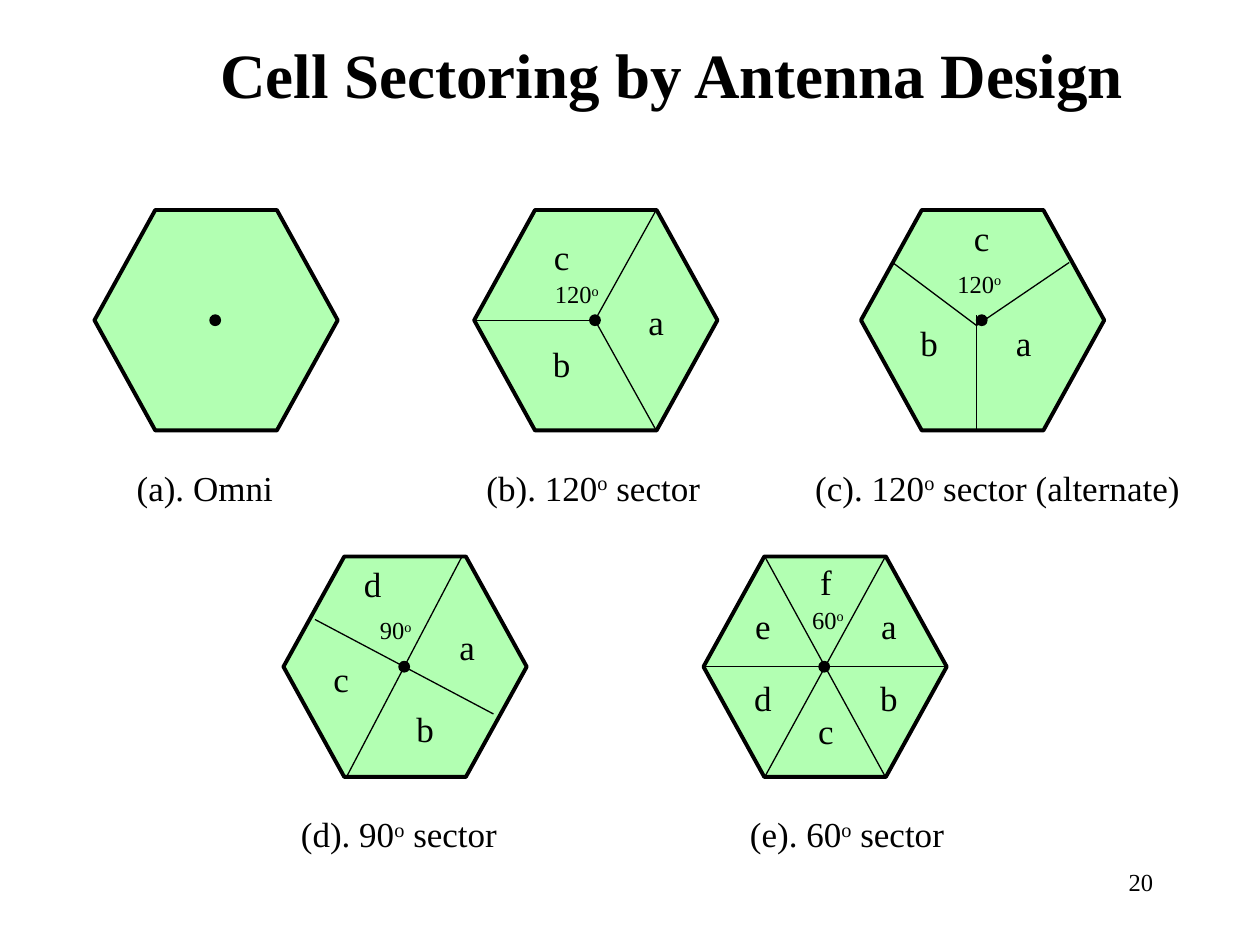
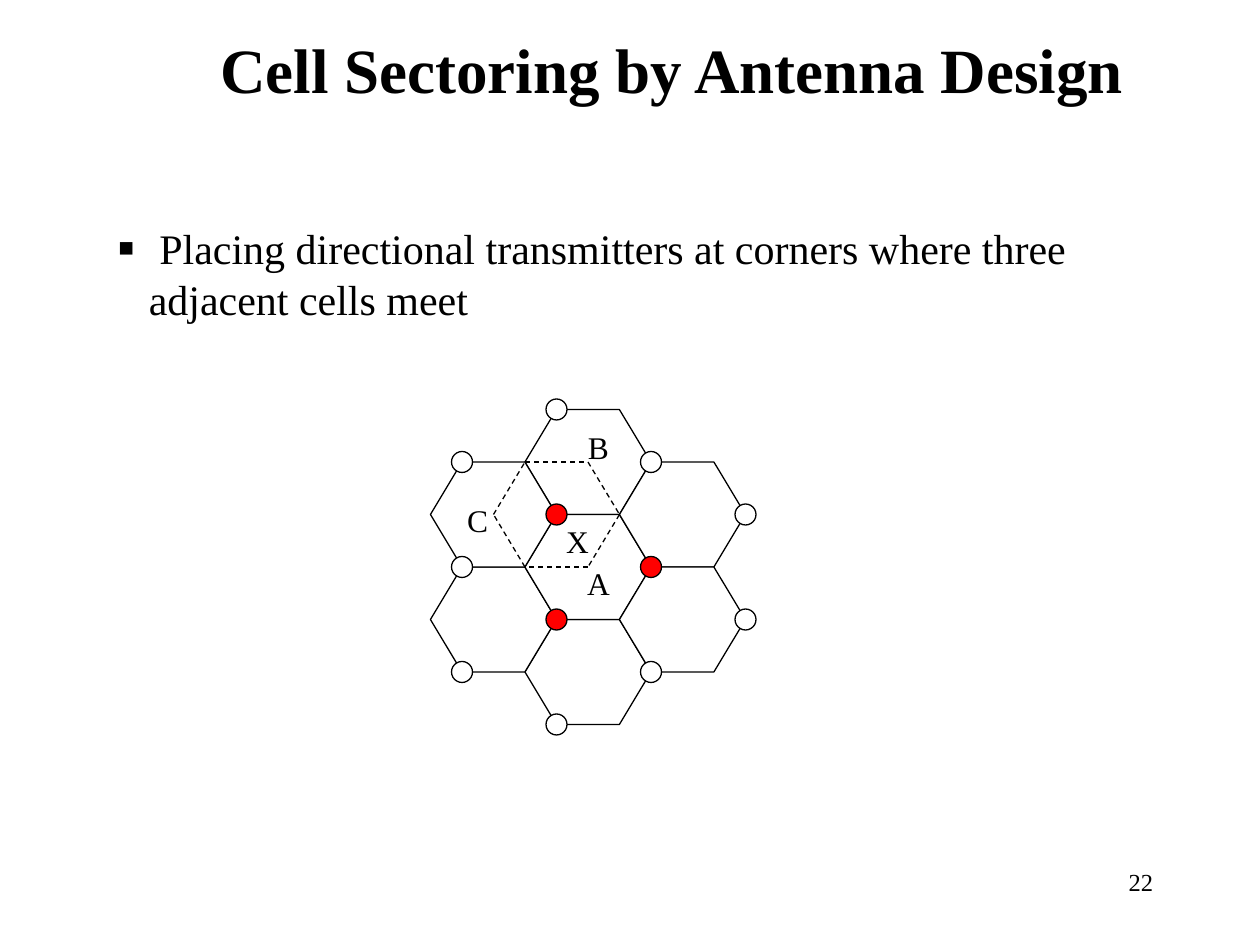
from dataclasses import dataclass
from lxml.etree import SubElement
from pptx import Presentation
from pptx.dml.color import RGBColor
from pptx.enum.dml import MSO_LINE
from pptx.enum.shapes import MSO_CONNECTOR, MSO_SHAPE
from pptx.enum.text import MSO_ANCHOR, MSO_AUTO_SIZE, PP_ALIGN
from pptx.oxml.ns import qn
from pptx.util import Pt

FONT = "Times New Roman"
BLACK, WHITE, RED, GREEN = "000000", "FFFFFF", "FF0000", "66FF66"
TITLE = "Cell Sectoring by Antenna Design"
DEGREE = "o"

CELL_WIDTH, CELL_HEIGHT = 139, 126
UPPER_ROW, LOWER_ROW = 120, 318
HEX_WIDTH, HEX_HEIGHT, HEX_INSET = 72, 60, 18
COLUMN_STEP, ROW_STEP = HEX_WIDTH - HEX_INSET, HEX_HEIGHT / 2


@dataclass
class Cell:
    left: float
    top: float
    caption: tuple
    caption_left: float
    caption_width: float
    spokes: tuple = ()
    sectors: tuple = ()
    angle: str = ""
    angle_at: tuple = (0, 0)


CELLS = [
    Cell(54, UPPER_ROW, ("(a). Omni",), 54, 126),
    Cell(271, UPPER_ROW, ("(b). 120", DEGREE, " sector"), 258, 162,
         ((0, 63, 69, 63), (69, 63, 104, 0), (69, 63, 104, 126)),
         (("a", 89, 48), ("b", 35, 72), ("c", 35, 11)), "120", (39, 36)),
    Cell(492, UPPER_ROW, ("(c). 120", DEGREE, " sector (alternate)"), 450, 240,
         ((18, 30, 66, 66), (66, 66, 119, 30), (66, 60, 66, 126)),
         (("a", 78, 60), ("b", 24, 60), ("c", 54, 0)), "120", (48, 30)),
    Cell(162, LOWER_ROW, ("(d). 90", DEGREE, " sector"), 156, 144,
         ((18, 36, 120, 90), (36, 126, 102, 0)),
         (("a", 90, 36), ("b", 66, 83), ("c", 18, 54), ("d", 36, 0)),
         "90", (48, 30)),
    Cell(402, LOWER_ROW, ("(e). 60", DEGREE, " sector"), 403, 162,
         ((0, 63, 139, 63), (35, 126, 104, 0), (35, 0, 104, 126)),
         (("a", 91, 24), ("b", 91, 65), ("c", 55, 84),
          ("d", 19, 65), ("e", 19, 24), ("f", 55, -1)), "60", (55, 24)),
]

HEX_CORNERS = [(1, 4), (1, 0), (0, 3), (1, 2), (0, 1), (2, 1), (2, 3)]
TRANSMITTERS = {0: (1, 3, 5), 1: (0, 2, 4, 6), 2: (1, 3, 5), 3: (2, 4)}
CENTRE_TRANSMITTERS = {(1, 2), (1, 4), (2, 3)}
COVERAGE = [(300, 264), (336, 264), (354, 294), (336, 324), (300, 324), (282, 294)]
CELL_NAMES = [("A", 324, 319), ("C", 255, 283), ("B", 324, 241), ("X", 312, 295)]


def rgb(value):
    return RGBColor.from_string(value)


def add_runs(paragraph, parts, size, bold=False):
    for part in parts:
        run = paragraph.add_run()
        run.text = part
        run.font.name = FONT
        run.font.size = Pt(size)
        run.font.bold = bold
        run.font.color.rgb = rgb(BLACK)
        if part == DEGREE:
            run._r.get_or_add_rPr().set("baseline", "30000")


def add_text(slide, parts, left, top, width, height, size, align=PP_ALIGN.CENTER):
    box = slide.shapes.add_textbox(Pt(left), Pt(top), Pt(width), Pt(height))
    box.text_frame.word_wrap = True
    paragraph = box.text_frame.paragraphs[0]
    paragraph.alignment = align
    add_runs(paragraph, parts, size)
    return box


def add_outlined(slide, preset, left, top, width, height, fill, weight=0.75):
    outlined = slide.shapes.add_shape(preset, Pt(left), Pt(top), Pt(width), Pt(height))
    outlined.shadow.inherit = False
    outlined.fill.solid()
    outlined.fill.fore_color.rgb = rgb(fill)
    outlined.line.color.rgb = rgb(BLACK)
    outlined.line.width = Pt(weight)
    return outlined


def add_line(slide, x1, y1, x2, y2, dash=None):
    line = slide.shapes.add_connector(
        MSO_CONNECTOR.STRAIGHT, Pt(x1), Pt(y1), Pt(x2), Pt(y2))
    line.line.color.rgb = rgb(BLACK)
    line.line.width = Pt(0.75)
    if dash:
        line.line.dash_style = dash
    SubElement(line._element.spPr, qn("a:effectLst"))


def add_titled_slide(deck, number, title_top, title_height):
    slide = deck.slides.add_slide(deck.slide_layouts[5])
    title = slide.shapes.title
    title.left, title.top = Pt(78), Pt(title_top)
    title.width, title.height = Pt(612), Pt(title_height)
    frame = title.text_frame
    frame.auto_size = MSO_AUTO_SIZE.NONE
    frame.vertical_anchor = MSO_ANCHOR.MIDDLE
    frame.paragraphs[0].alignment = PP_ALIGN.CENTER
    add_runs(frame.paragraphs[0], (TITLE,), 36, bold=True)
    add_text(slide, (number,), 516, 492, 150, 36, 14, PP_ALIGN.RIGHT)
    return slide


def add_cell(slide, cell):
    hexagon = add_outlined(slide, MSO_SHAPE.HEXAGON, cell.left, cell.top,
                           CELL_WIDTH, CELL_HEIGHT, GREEN, 2.25)
    hexagon.adjustments[0] = 0.276
    fill_colour = hexagon._element.spPr.find(qn("a:solidFill"))[0]
    SubElement(fill_colour, qn("a:alpha"), val="50000")
    for x1, y1, x2, y2 in cell.spokes:
        add_line(slide, cell.left + x1, cell.top + y1, cell.left + x2, cell.top + y2)
    add_outlined(slide, MSO_SHAPE.OVAL, cell.left + 66, cell.top + 60, 6, 6, BLACK)
    if cell.angle:
        dx, dy = cell.angle_at
        add_text(slide, (cell.angle, DEGREE), cell.left + dx, cell.top + dy,
                 50, 24, 14, PP_ALIGN.LEFT)
    for name, dx, dy in cell.sectors:
        add_text(slide, (name,), cell.left + dx, cell.top + dy, 30, 32, 20)
    add_text(slide, cell.caption, cell.caption_left, cell.top + 143,
             cell.caption_width, 32, 20)


def add_bullet(slide, sentence):
    box = add_text(slide, (sentence,), 60, 108, 582, 96, 24, PP_ALIGN.LEFT)
    box.text_frame.vertical_anchor = MSO_ANCHOR.MIDDLE
    properties = box.text_frame.paragraphs[0]._p.get_or_add_pPr()
    properties.set("marL", str(Pt(18)))
    properties.set("indent", str(-Pt(18)))
    SubElement(properties, qn("a:buSzPct"), val="120000")
    SubElement(properties, qn("a:buFont"), typeface=FONT)
    SubElement(properties, qn("a:buChar"), char="▪")


def grid_corner(column, row):
    return 264 + column * COLUMN_STEP, 234 + row * ROW_STEP


def add_cluster(slide):
    for corner in HEX_CORNERS:
        x, y = grid_corner(*corner)
        hexagon = add_outlined(slide, MSO_SHAPE.HEXAGON, x - HEX_INSET, y,
                               HEX_WIDTH, HEX_HEIGHT, WHITE)
        hexagon.adjustments[0] = HEX_INSET / HEX_HEIGHT
    for column, rows in TRANSMITTERS.items():
        for row in rows:
            x, y = grid_corner(column, row)
            fill = RED if (column, row) in CENTRE_TRANSMITTERS else WHITE
            add_outlined(slide, MSO_SHAPE.OVAL, x - 6, y - 6, 12, 12, fill)
    for start, end in zip(COVERAGE, COVERAGE[1:] + COVERAGE[:1]):
        add_line(slide, *start, *end, dash=MSO_LINE.DASH)
    for name, left, top in CELL_NAMES:
        add_text(slide, (name,), left, top, 36, 29, 18)


def main():
    deck = Presentation()
    deck.slide_width, deck.slide_height = Pt(720), Pt(540)

    sector_types = add_titled_slide(deck, "20", 12, 60)
    for cell in CELLS:
        add_cell(sector_types, cell)

    corner_transmitters = add_titled_slide(deck, "22", 6, 66)
    add_bullet(corner_transmitters,
               " Placing directional transmitters at corners where three "
               "adjacent cells meet")
    add_cluster(corner_transmitters)

    deck.save("out.pptx")


if __name__ == "__main__":
    main()
